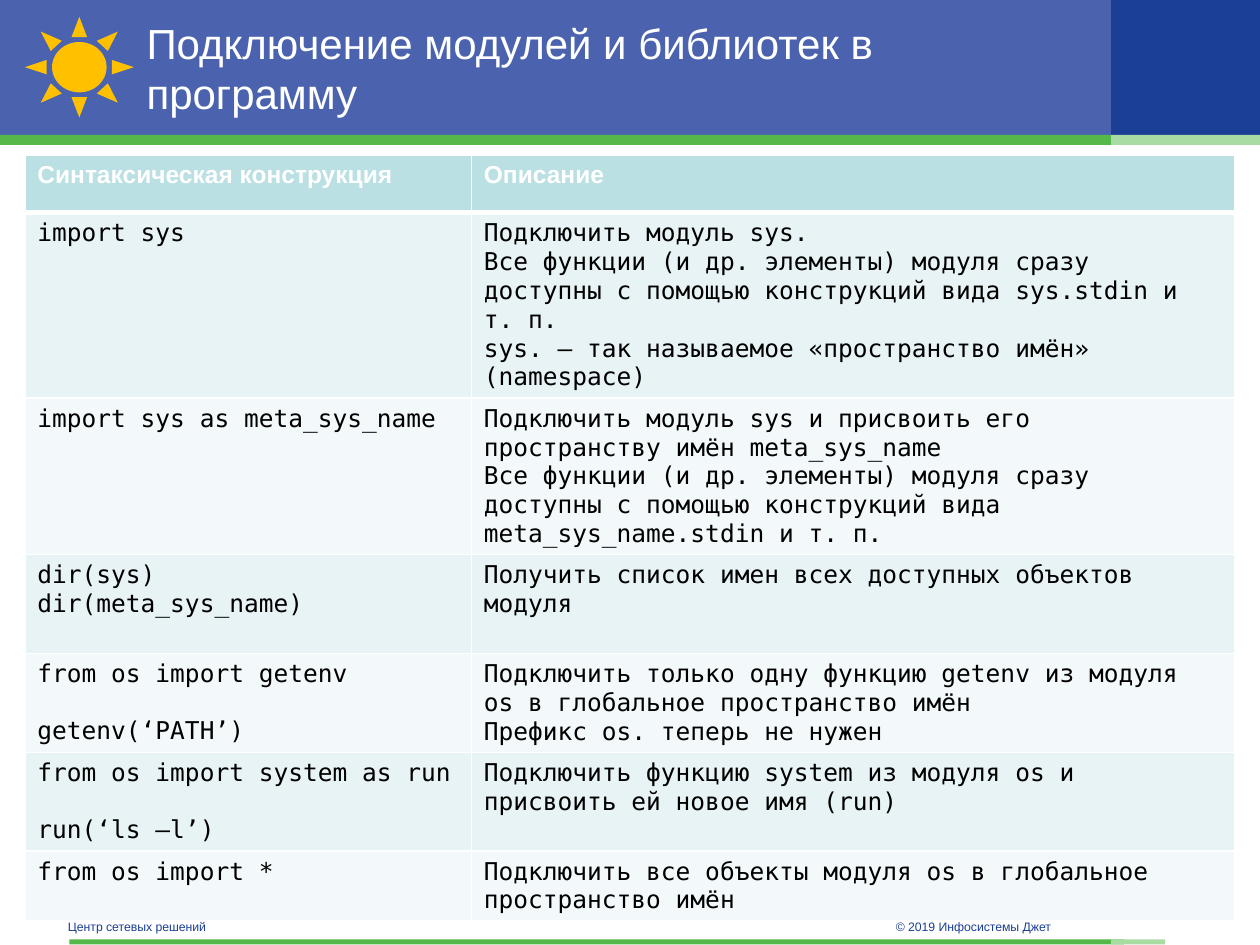
from lxml import etree
from pptx import Presentation
from pptx.dml.color import RGBColor
from pptx.enum.shapes import MSO_SHAPE
from pptx.enum.text import MSO_ANCHOR, MSO_AUTO_SIZE, PP_ALIGN
from pptx.oxml.ns import qn
from pptx.util import Cm, Pt

RECTANGLE, SUN = MSO_SHAPE.RECTANGLE, MSO_SHAPE.SUN
MIDDLE, LEFT, NO_AUTOFIT = MSO_ANCHOR.MIDDLE, PP_ALIGN.LEFT, MSO_AUTO_SIZE.NONE
SANS, MONO = "Arial", "DejaVu Sans Mono"
COLORS = {
    "banner": "4B63AE",
    "navy": "1B3F94",
    "green": "54B948",
    "pale_green": "A9DCA3",
    "sun": "FFC000",
    "header": "BBE0E3",
    "odd_row": "E7F3F4",
    "even_row": "F3F9FA",
    "white": "FFFFFF",
    "black": "000000",
}


def add_span(para, text, size, color, font=SANS, bold=False):
    para.alignment = LEFT
    span = para.add_run()
    span.text = text
    span.font.name = font
    span.font.size = Pt(size)
    span.font.bold = bold
    span.font.color.rgb = RGBColor.from_string(COLORS[color])


def add_block(page, kind, color, left, top, width, height):
    block = page.shapes.add_shape(kind, Cm(left), Cm(top), Cm(width), Cm(height))
    block.shadow.inherit = False
    block.fill.solid()
    block.fill.fore_color.rgb = RGBColor.from_string(COLORS[color])
    block.line.fill.background()


deck = Presentation()
deck.slide_width, deck.slide_height = Cm(25.4), Cm(19.05)
page = deck.slides.add_slide(deck.slide_layouts[5])

for color, left, top, width, height in [
    ("banner", 0, 0, 25.4, 2.72),
    ("navy", 22.4, 0, 3, 2.72),
    ("green", 0, 2.72, 22.4, 0.2),
    ("pale_green", 22.4, 2.72, 3, 0.2),
    ("green", 1.4, 18.94, 21.26, 0.1),
    ("pale_green", 22.4, 18.94, 1.09, 0.1),
]:
    add_block(page, RECTANGLE, color, left, top, width, height)

title = page.shapes.title
title.left, title.top, title.width, title.height = Cm(2.7), Cm(0.36), Cm(19.2), Cm(2)
title.text_frame.word_wrap = True
title.text_frame.auto_size = NO_AUTOFIT
title.text_frame.vertical_anchor = MIDDLE
add_span(title.text_frame.paragraphs[0], "Подключение модулей и библиотек в программу", 24, "white")
page.shapes.element.append(title.element)

ROWS = [
    (1.17, ["Синтаксическая конструкция"], ["Описание"]),
    (3.72, ["import sys"], [
        "Подключить модуль sys.",
        "Все функции (и др. элементы) модуля сразу доступны с помощью конструкций вида sys.stdin и т. п.",
        "sys. — так называемое «пространство имён» (namespace)",
    ]),
    (3.15, ["import sys as meta_sys_name"], [
        "Подключить модуль sys и присвоить его пространству имён meta_sys_name",
        "Все функции (и др. элементы) модуля сразу доступны с помощью конструкций вида meta_sys_name.stdin и т. п.",
    ]),
    (1.99, ["dir(sys)", "dir(meta_sys_name)"], ["Получить список имен всех доступных объектов модуля"]),
    (1.99, ["from os import getenv", "getenv(‘PATH’)"], [
        "Подключить только одну функцию getenv из модуля os в глобальное пространство имён",
        "Префикс os. теперь не нужен",
    ]),
    (1.99, ["from os import system as run", "run(‘ls –l’)"], [
        "Подключить функцию system из модуля os и присвоить ей новое имя (run)",
    ]),
    (1.38, ["from os import *"], ["Подключить все объекты модуля os в глобальное пространство имён"]),
]
SPACED_CALLS = ("getenv(‘PATH’)", "run(‘ls –l’)")

table_height = sum(height for height, *cells in ROWS)
frame = page.shapes.add_table(len(ROWS), 2, Cm(0.5), Cm(3.12), Cm(24.4), Cm(table_height))
table = frame.table
table.columns[0].width, table.columns[1].width = Cm(9), Cm(15.4)

for row, (height, *cells) in enumerate(ROWS):
    table.rows[row].height = Cm(height)
    is_header = row == 0
    fill = "header" if is_header else "odd_row" if row % 2 else "even_row"
    for column, lines in enumerate(cells):
        cell = table.cell(row, column)
        properties = cell._tc.get_or_add_tcPr()
        for side in ("L", "R", "T", "B"):
            thick = (row, side) in ((0, "B"), (1, "T"))
            border = etree.SubElement(properties, qn(f"a:ln{side}"), w=str(Pt(3 if thick else 1)))
            paint = etree.SubElement(border, qn("a:solidFill"))
            etree.SubElement(paint, qn("a:srgbClr"), val=COLORS["white"])
        cell.fill.solid()
        cell.fill.fore_color.rgb = RGBColor.from_string(COLORS[fill])
        for number, line in enumerate(lines):
            text_frame = cell.text_frame
            para = text_frame.add_paragraph() if number else text_frame.paragraphs[0]
            if line in SPACED_CALLS:
                para.space_before = Pt(16)
            if is_header:
                add_span(para, line, 14, "white", bold=True)
            else:
                add_span(para, line, 14, "black", MONO)

for text, left, width in [
    ("© 2019 Инфосистемы Джет", 17.81, 6),
    ("Центр сетевых решений", 1.12, 8.38),
]:
    box = page.shapes.add_textbox(Cm(left), Cm(18.4), Cm(width), Cm(0.55))
    box.text_frame.word_wrap = True
    box.text_frame.vertical_anchor = MIDDLE
    add_span(box.text_frame.paragraphs[0], text, 7, "navy")

add_block(page, SUN, "sun", 0.5, 0.34, 2.2, 2.03)

deck.save("out.pptx")
